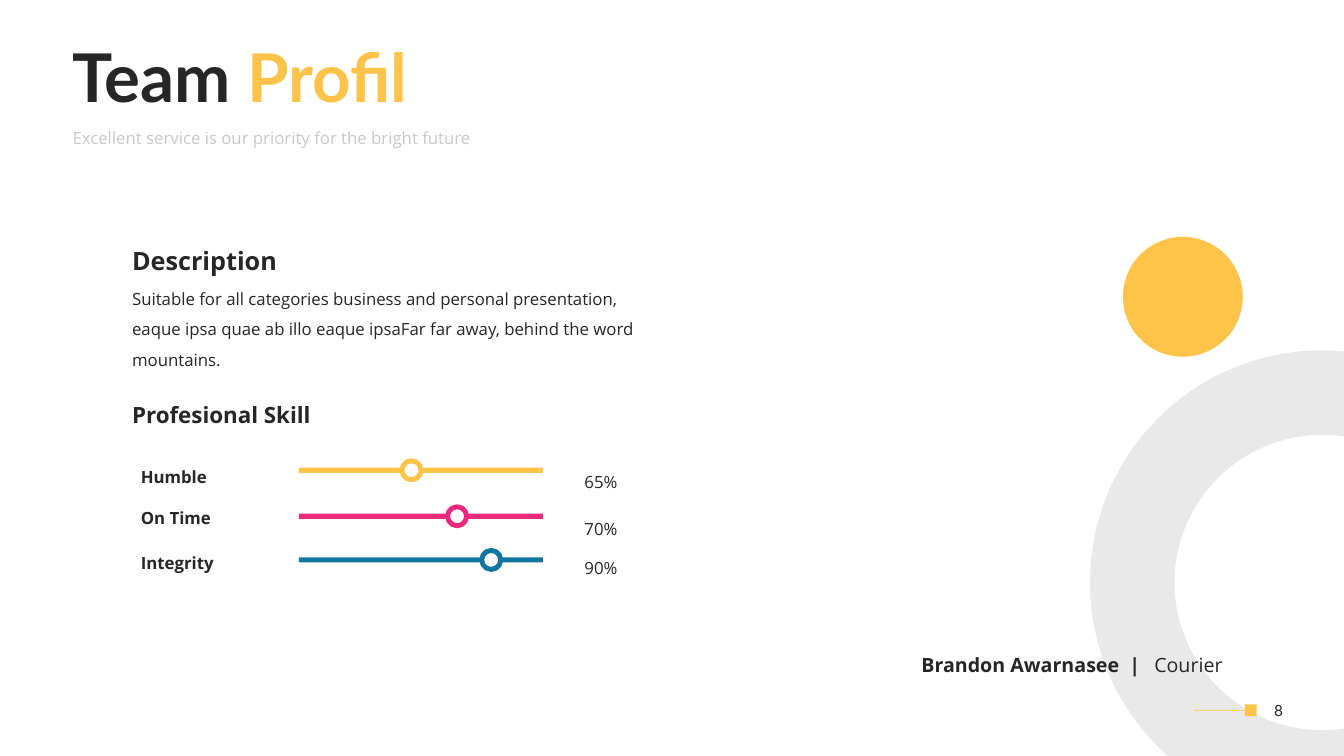
from math import acos, asin, cos, pi, sin

from lxml.etree import SubElement
from pptx import Presentation
from pptx.dml.color import RGBColor
from pptx.enum.shapes import MSO_CONNECTOR, MSO_SHAPE
from pptx.enum.text import MSO_ANCHOR, PP_ALIGN
from pptx.oxml.ns import qn
from pptx.util import Cm, Pt

SLIDE_WIDTH, SLIDE_HEIGHT = 33.87, 19.05
AMBER, PINK, BLUE = "FFC34A", "EC297C", "0F76A1"
INK, MUTED, PALE, WHITE = "262626", "C9C9C9", "E9E9E9", "FFFFFF"

SKILLS = [
    ("Humble", "65%", AMBER, 11.38, 11.85, 10.37, 11.51),
    ("On Time", "70%", PINK, 12.42, 13.01, 11.52, 12.7),
    ("Integrity", "90%", BLUE, 13.56, 14.11, 12.38, 13.67),
]


def colour(hex_code):
    return RGBColor.from_string(hex_code)


def paint(shape, fill, outline=None, outline_width=0):
    shape.shadow.inherit = False
    shape.fill.solid()
    shape.fill.fore_color.rgb = colour(fill)
    if outline:
        shape.line.color.rgb = colour(outline)
        shape.line.width = Pt(outline_width)
    else:
        shape.line.fill.background()


def add_figure(slide, kind, left, top, width, height, fill, **outline):
    figure = slide.shapes.add_shape(kind, Cm(left), Cm(top), Cm(width), Cm(height))
    paint(figure, fill, **outline)
    return figure


def add_text(slide, runs, left, top, width, height, size, *, face="Open Sans",
             bold=False, spacing=1.0, before=0, align=PP_ALIGN.LEFT,
             anchor=MSO_ANCHOR.TOP):
    frame = slide.shapes.add_textbox(
        Cm(left), Cm(top), Cm(width), Cm(height)).text_frame
    frame.word_wrap = True
    frame.vertical_anchor = anchor
    paragraph = frame.paragraphs[0]
    paragraph.alignment = align
    paragraph.line_spacing = spacing
    paragraph.space_before = Pt(before)
    paragraph.font.name = face
    paragraph.font.size = Pt(size)
    paragraph.font.bold = bold
    if len(runs) == 1:
        paragraph.font.color.rgb = colour(runs[0][1])
    for wording, tint in runs:
        run = paragraph.add_run()
        run.text = wording
        if len(runs) > 1:
            run.font.color.rgb = colour(tint)


def arc(centre_x, centre_y, radius, start, end, steps=90):
    angles = [start + (end - start) * step / steps for step in range(steps + 1)]
    return [(Cm(centre_x + radius * cos(angle)), Cm(centre_y + radius * sin(angle)))
            for angle in angles]


def add_cropped_ring(slide):
    centre_x, centre_y, outer, inner = 33.32, 14.68, 5.85, 3.72
    to_edge = SLIDE_WIDTH - centre_x
    outer_end = pi - asin((SLIDE_HEIGHT - centre_y) / outer)
    outline = arc(centre_x, centre_y, outer, 2 * pi - acos(to_edge / outer), outer_end)
    outline.append((Cm(SLIDE_WIDTH), Cm(SLIDE_HEIGHT)))
    inner_edge = acos(to_edge / inner)
    outline += arc(centre_x, centre_y, inner, inner_edge, 2 * pi - inner_edge)
    builder = slide.shapes.build_freeform(*outline[0])
    builder.add_line_segments(outline[1:], close=True)
    paint(builder.convert_to_shape(), PALE)


def add_skill(slide, skill, share, tint, label_top, track_y, knob_x, share_top):
    track_height, knob_size = 0.13, 0.48
    add_text(slide, [(skill, INK)], 3.3, label_top, 3.07, 0.94, 12,
             bold=True, spacing=1.5)
    add_figure(slide, MSO_SHAPE.RECTANGLE, 7.53, track_y - track_height / 2,
               6.15, track_height, tint)
    add_figure(slide, MSO_SHAPE.OVAL, knob_x - knob_size / 2, track_y - knob_size / 2,
               knob_size, knob_size, WHITE, outline=tint, outline_width=3.5)
    add_text(slide, [(share, INK)], 14.48, share_top, 2.26, 1.02, 12, spacing=1.5)


def add_page_marker(slide):
    marker = add_figure(slide, MSO_SHAPE.RECTANGLE, 31.37, 17.75, 0.3, 0.3, AMBER)
    rule = slide.shapes.add_connector(
        MSO_CONNECTOR.STRAIGHT, Cm(30.1), Cm(17.9), Cm(31.37), Cm(17.9))
    rule.end_connect(marker, 1)
    rule.line.color.rgb = colour(AMBER)
    rule.line.width = Pt(0.5)
    SubElement(rule._element.spPr, qn("a:effectLst"))


def main():
    deck = Presentation()
    deck.slide_width, deck.slide_height = Cm(SLIDE_WIDTH), Cm(SLIDE_HEIGHT)
    slide = deck.slides.add_slide(deck.slide_layouts[6])

    add_text(slide, [("8", INK)], 31.45, 17.37, 1.55, 1.04, 11, face="Lato",
             align=PP_ALIGN.CENTER, anchor=MSO_ANCHOR.MIDDLE)
    add_cropped_ring(slide)
    add_text(slide, [("Team ", INK), ("Profil", AMBER)], 1.58, 0.89, 20.35, 2.31, 48,
             face="Lato", bold=True, spacing=0.9, before=10, anchor=MSO_ANCHOR.MIDDLE)
    add_text(slide, [("Excellent service is our priority for the bright future", MUTED)],
             1.58, 3.15, 12.24, 0.61, 12, spacing=0.9, before=10)
    add_figure(slide, MSO_SHAPE.OVAL, 28.3, 5.97, 3.02, 3.02, AMBER)

    add_text(slide, [("Brandon Awarnasee", INK)], 22.97, 16.33, 5.6, 0.86, 14, bold=True)
    add_text(slide, [("|", INK)], 28.21, 16.33, 0.9, 0.86, 14, bold=True)
    add_text(slide, [("Courier", INK)], 28.84, 16.33, 2.92, 0.86, 14)

    for skill in SKILLS:
        add_skill(slide, *skill)
    add_text(slide, [("Profesional Skill", INK)], 3.08, 9.98, 13.28, 0.94, 16, bold=True)
    add_text(slide, [("Suitable for all categories business and personal presentation, "
                      "eaque ipsa quae ab illo eaque ipsaFar far away, behind the word "
                      "mountains.", INK)], 3.08, 6.9, 13.28, 2.49, 12, spacing=1.5)
    add_text(slide, [("Description", INK)], 3.08, 6.05, 4.52, 1.02, 18, bold=True)

    add_page_marker(slide)
    deck.save("out.pptx")


if __name__ == "__main__":
    main()
